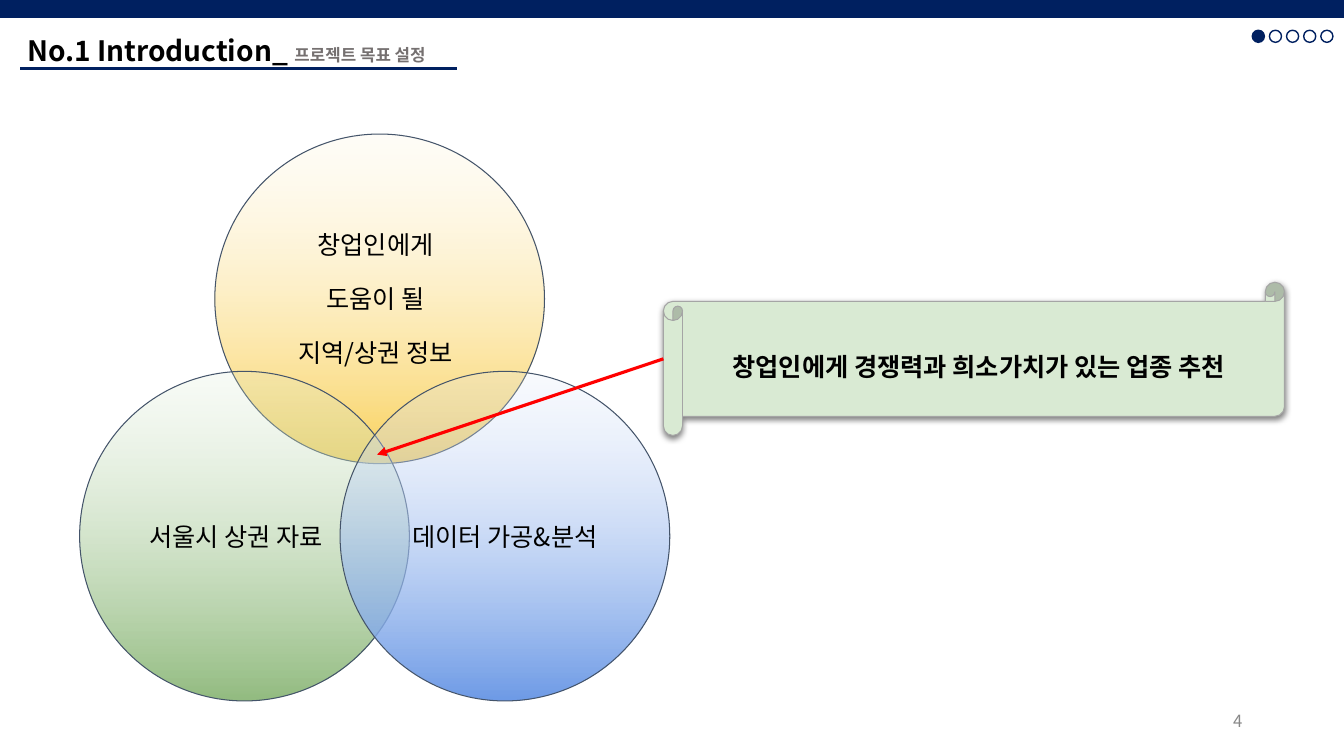
from lxml.etree import SubElement
from pptx import Presentation
from pptx.dml.color import RGBColor
from pptx.enum.shapes import MSO_CONNECTOR, MSO_SHAPE
from pptx.enum.text import MSO_ANCHOR, PP_ALIGN
from pptx.oxml.ns import qn
from pptx.util import Inches, Pt

WIDTH, HEIGHT = 13.33, 7.5
FONT = "Noto Sans CJK KR"
COLORS = {
    "navy": "002060", "black": "000000", "subtitle": "757070", "number": "888888",
    "outline": "44546A", "scroll": "D9EAD3", "scroll edge": "A5A5A5", "arrow": "FF0000",
    "pale yellow": "FFF6DB", "yellow": "FAD25C", "pale green": "DCECD5",
    "green": "93BC81", "pale blue": "DFE9FB", "blue": "6E9BE7",
}

TITLE = [("No.1 Introduction_", 20, "black"), ("프로젝트 목표 설정", 12, "subtitle")]
GOAL = "창업인에게 경쟁력과 희소가치가 있는 업종 추천"
PAGE_NUMBER = "4"
PAGE_DOTS, CURRENT_DOT = 5, 0

# Column and row are counted in circle diameters from the corner of the diagram.
CIRCLES = [
    dict(lines=["창업인에게", "도움이 될", "지역/상권 정보"], column=0.41, row=0,
         colors=("pale yellow", "yellow"), right_inset=0.18),
    dict(lines=["서울시 상권 자료"], column=0, row=0.72,
         colors=("pale green", "green"), right_inset=0.27),
    dict(lines=["데이터 가공&분석"], column=0.79, row=0.72,
         colors=("pale blue", "blue"), right_inset=0.1),
]
DIAGRAM_LEFT, DIAGRAM_TOP, DIAMETER = 0.79, 1.33, 3.27
OVERLAP = (3.74, 4.51)
DOT_LEFT, DOT_TOP, DOT_SIZE, DOT_STEP = 12.42, 0.3, 0.12, 0.17


def rgb(name):
    return RGBColor.from_string(COLORS[name])


def write(shape, paragraphs, bold=False, align=PP_ALIGN.CENTER, anchor=MSO_ANCHOR.MIDDLE,
          insets=(0.1, 0.1, 0.1, 0.1), gap=0, line_spacing=None):
    """Fill a shape with paragraphs, each a list of (text, size, color) runs."""
    frame = shape.text_frame
    frame.word_wrap = True
    frame.vertical_anchor = anchor
    frame.margin_left, frame.margin_top, frame.margin_right, frame.margin_bottom = map(Inches, insets)
    for index, runs in enumerate(paragraphs):
        paragraph = frame.add_paragraph() if index else frame.paragraphs[0]
        paragraph.alignment = align
        if index:
            paragraph.space_before = Pt(gap)
        if line_spacing:
            paragraph.line_spacing = line_spacing
        for text, size, color in runs:
            run = paragraph.add_run()
            run.text = text
            run.font.size, run.font.bold, run.font.name = Pt(size), bold, FONT
            run.font.color.rgb = rgb(color)
            SubElement(run.font._element, qn("a:ea"), typeface=FONT)


def add_shape(slide, kind, left, top, width, height, line, weight, fill=None):
    shape = slide.shapes.add_shape(kind, *map(Inches, (left, top, width, height)))
    shape.shadow.inherit = False
    if fill:
        shape.fill.solid()
        shape.fill.fore_color.rgb = rgb(fill)
    else:
        shape.fill.background()
    shape.line.color.rgb = rgb(line)
    shape.line.width = Pt(weight)
    return shape


def add_text(slide, left, top, width, height, paragraphs, **options):
    box = slide.shapes.add_textbox(*map(Inches, (left, top, width, height)))
    write(box, paragraphs, insets=(0.1, 0.05, 0.1, 0.05), **options)


def add_line(slide, start, end, color):
    line = slide.shapes.add_connector(MSO_CONNECTOR.STRAIGHT, *map(Inches, (*start, *end)))
    line.line.color.rgb = rgb(color)
    line.line.width = Pt(2.25)
    SubElement(line._element.spPr, qn("a:effectLst"))
    return line


def fade_down(shape, top_color, bottom_color):
    """Gradient from a nearly clear top to a solid bottom."""
    shape.fill.gradient()
    shape.fill.gradient_angle = 270
    for stop, color in zip(shape.fill.gradient_stops, (top_color, bottom_color)):
        stop.color.rgb = rgb(color)
    first_color = shape._element.xpath(".//a:gs/a:srgbClr")[0]
    SubElement(first_color, qn("a:alpha"), val="20000")


def drop_shadow(shape):
    effects = shape._element.spPr.find(qn("a:effectLst"))
    shadow = SubElement(effects, qn("a:outerShdw"), blurRad=str(Pt(4.5)), dist=str(Pt(1.5)),
                        dir="5400000", algn="bl", rotWithShape="0")
    color = SubElement(shadow, qn("a:srgbClr"), val=COLORS["black"])
    SubElement(color, qn("a:alpha"), val="50000")


def add_header(slide):
    add_text(slide, 0.17, 0.28, 4.38, 0.44, [[(text + " " * (index == 0), size, color)
             for index, (text, size, color) in enumerate(TITLE)]],
             bold=True, align=PP_ALIGN.LEFT, anchor=MSO_ANCHOR.TOP)
    add_line(slide, (0.2, 0.68), (4.53, 0.68), "navy")
    add_shape(slide, MSO_SHAPE.RECTANGLE, 0, 0, WIDTH, 0.17, "navy", 1, fill="navy")
    for index in range(PAGE_DOTS):
        add_shape(slide, MSO_SHAPE.OVAL, DOT_LEFT + index * DOT_STEP, DOT_TOP, DOT_SIZE, DOT_SIZE,
                  "navy", 1, fill="navy" if index == CURRENT_DOT else None)


def add_diagram(slide):
    for circle in CIRCLES:
        shape = add_shape(slide, MSO_SHAPE.OVAL, DIAGRAM_LEFT + circle["column"] * DIAMETER,
                          DIAGRAM_TOP + circle["row"] * DIAMETER, DIAMETER, DIAMETER, "outline", 0.75)
        fade_down(shape, *circle["colors"])
        write(shape, [[(line, 18, "black")] for line in circle["lines"]],
              gap=17, insets=(0.1, 0.1, circle["right_inset"], 0.1))


def add_goal(slide):
    scroll = add_shape(slide, MSO_SHAPE.HORIZONTAL_SCROLL, 6.58, 2.8, 6.16, 1.52,
                       "scroll edge", 0.75, fill="scroll")
    drop_shadow(scroll)
    write(scroll, [[(GOAL, 18, "black")]], bold=True, line_spacing=1.5)
    arrow = add_line(slide, (6.58, 3.56), OVERLAP, "arrow")
    arrow.begin_connect(scroll, 1)
    SubElement(arrow.line._get_or_add_ln(), qn("a:tailEnd"), type="triangle")


def main():
    presentation = Presentation()
    presentation.slide_width, presentation.slide_height = Inches(WIDTH), Inches(HEIGHT)
    slide = presentation.slides.add_slide(presentation.slide_layouts[6])
    add_header(slide)
    add_text(slide, 9.42, 6.95, 3, 0.4, [[(PAGE_NUMBER, 12, "number")]], align=PP_ALIGN.RIGHT)
    add_diagram(slide)
    add_goal(slide)
    presentation.save("out.pptx")


if __name__ == "__main__":
    main()
